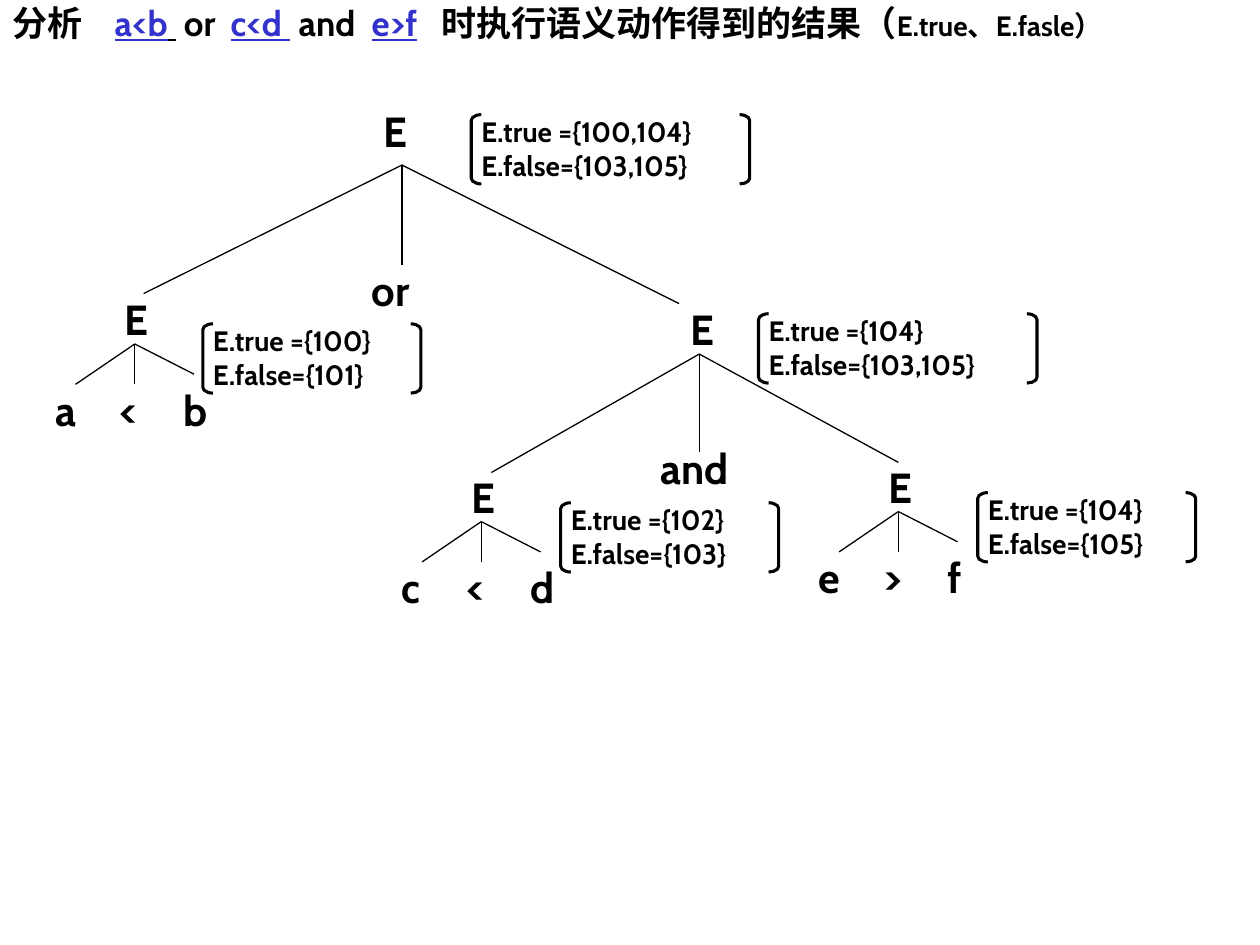
from pptx import Presentation
from pptx import util as u
from pptx.dml.color import RGBColor
from pptx.enum import shapes, text
from pptx.oxml.ns import qn
from lxml import etree

FONT, BLACK, BLUE = "Cabin", "000000", "3333CC"

# text, size, colour, underlined
TITLE = [
    ("分析\t", 20, BLACK, False), ("a<b", 20, BLUE, True), (" ", 20, BLACK, True),
    ("\tor\t", 20, BLACK, False), ("c<d ", 20, BLUE, True),
    ("\tand\t", 20, BLACK, False), ("e>f", 20, BLUE, True),
    ("\t时执行语义动作得到的结果（", 20, BLACK, False),
    ("E.true、E.fasle）", 16, BLACK, False),
]
TITLE_TABS = [0.81, 1.36, 1.73, 2.27, 2.85, 3.40]

# Apex of the branches, offset of E, offset and width of the attributes
NODES = [
    dict(apex=(3.19, 1.31), e=(-0.15, -0.47), box=(0.63, -0.40), width=2.13,
         true="100,104", false="103,105", word=("or", 2.95, 2.10),
         ends=[(1.14, 2.33), (3.19, 2.10), (5.39, 2.41)]),
    dict(apex=(5.55, 2.81), e=(-0.07, -0.40), box=(0.55, -0.32), width=2.13,
         true="104", false="103,105", word=("and", 5.24, 3.51),
         ends=[(3.90, 3.75), (5.55, 3.59), (7.13, 3.67)]),
    dict(apex=(1.07, 2.73), box=(0.62, -0.16), true="100", false="101", leaves="a<b"),
    dict(apex=(3.82, 4.14), box=(0.71, -0.15), true="102", false="103", leaves="c<d"),
    dict(apex=(7.13, 4.06), box=(0.71, -0.15), true="104", false="105", leaves="e>f"),
]
COMPARISON_ENDS = [(-0.47, 0.32), (0, 0.32), (0.47, 0.24)]
LEAF_X, LEAF_Y = (-0.63, -0.12, 0.39), 0.32
GLYPH_WIDTH = dict(a=0.20, b=0.21, c=0.17, d=0.21, e=0.20, f=0.13)
BRACKET_W, BRACKET_H = 0.08, 0.55


def rgb(value):
    """Turn a hex string into a colour."""
    return RGBColor.from_string(value)


def inches(*values):
    """Turn numbers into lengths in inches."""
    return [u.Inches(v) for v in values]


def add_text(parent, lines, x, y, w, h, size, wrap=True):
    """Add a bold text box without margins."""
    tf = parent.add_textbox(*inches(x, y, w, h)).text_frame
    tf.margin_left = tf.margin_right = tf.margin_top = tf.margin_bottom = 0
    tf.word_wrap = wrap
    tf.auto_size = text.MSO_AUTO_SIZE.SHAPE_TO_FIT_TEXT
    tf.text = "\n".join(lines)
    for p in tf.paragraphs:
        p.font.name, p.font.size, p.font.bold = FONT, u.Pt(size), True
        p.font.color.rgb = rgb(BLACK)


def add_symbol(parent, symbol, x, y):
    """Add a one-letter tree symbol."""
    add_text(parent, [symbol], x, y, GLYPH_WIDTH.get(symbol, 0.19), 0.4, 24, False)


def add_branch(parent, start, end):
    """Draw a thin line from a node to its child."""
    line = parent.add_connector(shapes.MSO_CONNECTOR.STRAIGHT, *inches(*start, *end))
    line.line.color.rgb = rgb(BLACK)
    line.line.width = u.Pt(0.74)
    etree.SubElement(line._element.spPr, qn("a:effectLst"))


def add_attributes(parent, lines, x, y, w):
    """Add the truth lists between two square brackets, as one group."""
    group = parent.add_group_shape().shapes
    add_text(group, lines, x, y, w, 0.53, 16)
    for kind, left in ((shapes.MSO_SHAPE.LEFT_BRACKET, x - BRACKET_W),
                       (shapes.MSO_SHAPE.RIGHT_BRACKET, x + w - BRACKET_W)):
        sp = group.add_shape(kind, *inches(left, y, BRACKET_W, BRACKET_H))
        sp.adjustments[0] = 0.57
        sp.shadow.inherit = False
        sp.fill.background()
        sp.line.color.rgb = rgb(BLACK)
        sp.line.width = u.Pt(1.76)


def add_node(parent, node):
    """Draw one E with its branches, children and attributes."""
    ax, ay = node["apex"]
    ex, ey = node.get("e", (-0.08, -0.40))
    bx, by = node["box"]
    add_symbol(parent, "E", ax + ex, ay + ey)
    for end in node.get("ends") or [(ax + dx, ay + dy) for dx, dy in COMPARISON_ENDS]:
        add_branch(parent, (ax, ay), end)
    for symbol, dx in zip(node.get("leaves", ""), LEAF_X):
        add_symbol(parent, symbol, ax + dx, ay + LEAF_Y)
    if "word" in node:
        word, x, y = node["word"]
        add_text(parent, [word], x, y, 0.71, 0.4, 24)
    lines = [f"E.true ={{{node['true']}}}", f"E.false={{{node['false']}}}"]
    add_attributes(parent, lines, ax + bx, ay + by, node.get("width", 1.65))


def fill_title(title):
    """Place the title and set its runs on tab stops."""
    title.left, title.top, title.width, title.height = inches(0, 0, 10, 0.44)
    tf = title.text_frame
    tf.word_wrap = True
    tf.auto_size = text.MSO_AUTO_SIZE.NONE
    tf.vertical_anchor = text.MSO_ANCHOR.TOP
    p = tf.paragraphs[0]
    p.alignment = text.PP_ALIGN.LEFT
    p.line_spacing, p.space_before = 0.9, u.Pt(4)
    p.font.name, p.font.bold = FONT, True
    stops = etree.SubElement(p._p.get_or_add_pPr(), qn("a:tabLst"))
    p._p.pPr.find(qn("a:defRPr")).addprevious(stops)
    for stop in TITLE_TABS:
        etree.SubElement(stops, qn("a:tab"), pos=str(u.Inches(stop)), algn="l")
    for words, size, colour, underlined in TITLE:
        r = p.add_run()
        r.text = words
        r.font.name, r.font.bold = FONT, True
        r.font.size, r.font.underline = u.Pt(size), underlined
        r.font.color.rgb = rgb(colour)


prs = Presentation()
prs.slide_width, prs.slide_height = inches(10, 7.5)
s = prs.slides.add_slide(prs.slide_layouts[5])
fill_title(s.shapes.title)
for node in NODES:
    add_node(s.shapes, node)
prs.save("out.pptx")
